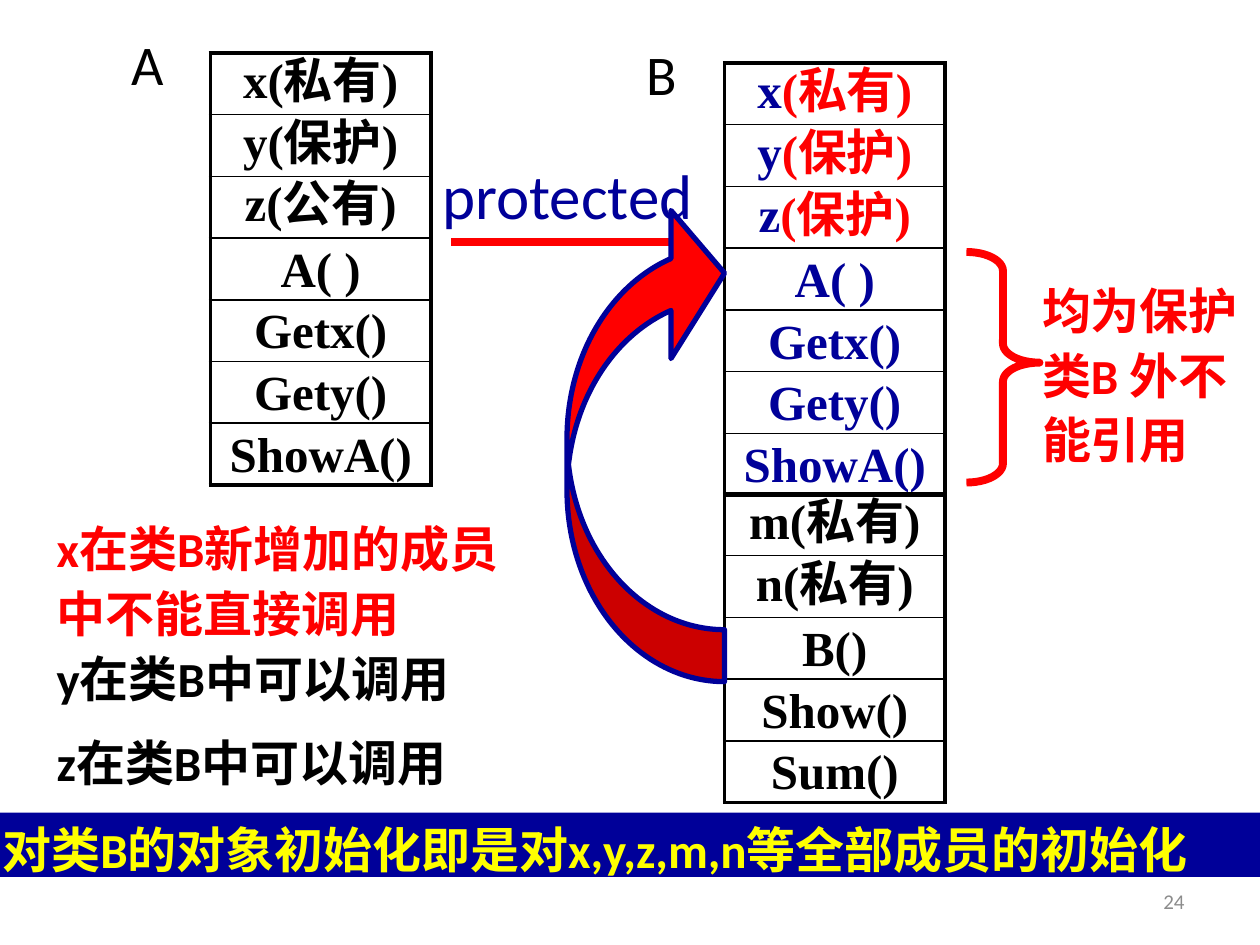
"""Build a slide on protected inheritance from class A to class B."""
from lxml import etree
from pptx import Presentation
from pptx import util as u
from pptx.dml.color import RGBColor
from pptx.enum import shapes, text
from pptx.oxml.ns import qn

HUES = {"ink": "000000", "red": "FF0000", "navy": "000099", "gold": "FFFF00", "gray": "8C8C8C"}
ROW = 0.49
LEFT, MID, RIGHT = text.PP_ALIGN.LEFT, text.PP_ALIGN.CENTER, text.PP_ALIGN.RIGHT


def hue(name):
    """Return the named colour."""
    return RGBColor.from_string(HUES[name])


def box(*spot):
    """Return a place given in inches as lengths."""
    return [u.Inches(n) for n in spot]


def style(font, size, color, bold, face="Calibri"):
    """Set the look of a font."""
    font.name, font.size, font.bold = face, u.Pt(size), bold
    font.color.rgb = hue(color)


def fill_text(shape, words, size, color, bold=True, align=LEFT, space=1.1):
    """Put one styled paragraph into a shape."""
    frame = shape.text_frame
    frame.text = words
    frame.word_wrap = True
    frame.vertical_anchor = text.MSO_ANCHOR.TOP
    frame.auto_size = text.MSO_AUTO_SIZE.SHAPE_TO_FIT_TEXT
    frame.margin_left = frame.margin_right = u.Inches(0.02)
    frame.margin_top = frame.margin_bottom = u.Inches(0.01)
    para = frame.paragraphs[0]
    para.alignment, para.line_spacing = align, space
    style(para.runs[0].font, size, color, bold)


def add_text(slide, spot, *args, **opts):
    """Add a text box."""
    label = slide.shapes.add_textbox(*box(*spot))
    fill_text(label, *args, **opts)
    return label


def add_form(slide, kind, spot, fill=None, line=None, width=0, adjust=()):
    """Add a preset shape with its fill and outline."""
    form = slide.shapes.add_shape(kind, *box(*spot))
    form.shadow.inherit = False
    for index, value in enumerate(adjust):
        form.adjustments[index] = value
    if fill:
        form.fill.solid()
        form.fill.fore_color.rgb = hue(fill)
    else:
        form.fill.background()
    if line:
        form.line.color.rgb = hue(line)
        form.line.width = u.Pt(width)
    else:
        form.line.fill.background()
    return form


def add_edge(props, tag, width):
    """Add one black border to a cell."""
    edge = etree.SubElement(props, qn(f"a:{tag}"), w=str(u.Pt(width)))
    paint = etree.SubElement(edge, qn("a:solidFill"))
    etree.SubElement(paint, qn("a:srgbClr"), val=HUES["ink"])


def set_cell(cell, parts, first, last):
    """Fill a cell with coloured parts, a fixed line height and borders."""
    cell.margin_left = cell.margin_right = u.Inches(0.02)
    cell.margin_top = cell.margin_bottom = u.Inches(0.01)
    cell.vertical_anchor = text.MSO_ANCHOR.MIDDLE
    para = cell.text_frame.paragraphs[0]
    para.alignment, para.line_spacing = MID, u.Pt(33)
    for words, color in parts:
        run = para.add_run()
        run.text = words
        style(run.font, 28, color, True, "Times New Roman")
    props = cell._tc.get_or_add_tcPr()
    widths = {"lnL": 2.25, "lnR": 2.25, "lnT": 2.25 if first else 1, "lnB": 2.25 if last else 1}
    for tag, width in widths.items():
        add_edge(props, tag, width)
    cell.fill.background()


def add_list(slide, left, top, rows):
    """Add a one-column table of class members."""
    count = len(rows)
    table = slide.shapes.add_table(count, 1, *box(left, top, 1.75, ROW * count)).table
    table.first_row = table.horz_banding = False
    for index, parts in enumerate(rows):
        set_cell(table.cell(index, 0), parts, index == 0, index == count - 1)


def add_arrow(slide, start, end):
    """Add a thick red arrow."""
    line = slide.shapes.add_connector(shapes.MSO_CONNECTOR.STRAIGHT, *box(*start, *end))
    line.line.color.rgb = hue("red")
    line.line.width = u.Pt(4.5)
    etree.SubElement(line.line._get_or_add_ln(), qn("a:tailEnd"), type="triangle")
    etree.SubElement(line._element.spPr, qn("a:effectLst"))


def main():
    """Build and save the slide."""
    deck = Presentation()
    deck.slide_width, deck.slide_height = box(10, 7.5)
    slide = deck.slides.add_slide(deck.slide_layouts[6])
    kinds = shapes.MSO_SHAPE

    page = add_text(slide, (7.17, 6.95, 2.33, 0.4), "24", 12, "gray", False, RIGHT, 1)
    page.text_frame.auto_size = text.MSO_AUTO_SIZE.NONE
    page.text_frame.vertical_anchor = text.MSO_ANCHOR.MIDDLE
    page.text_frame.margin_right = u.Inches(0.1)

    calls = ["A( )", "Getx()", "Gety()", "ShowA()"]
    base = ["x(私有)", "y(保护)", "z(公有)"] + calls
    heirs = [("x", "(私有)"), ("y", "(保护)"), ("z", "(保护)")]
    added = ["m(私有)", "n(私有)", "B()", "Show()", "Sum()"]
    add_list(slide, 1.67, 0.42, [[(name, "ink")] for name in base])
    add_list(slide, 5.75, 0.5, [[(name, "navy"), (mode, "red")] for name, mode in heirs]
             + [[(name, "navy")] for name in calls])
    add_list(slide, 5.75, 3.92, [[(name, "ink")] for name in added])

    add_text(slide, (0.92, 0.17, 0.5, 0.62), "A", 32, "ink", False, MID)
    add_text(slide, (5, 0.25, 0.5, 0.62), "B", 32, "ink", False, MID)
    add_arrow(slide, (3.58, 1.92), (5.5, 1.92))
    add_text(slide, (3.42, 1.17, 2.17, 0.69), "protected", 36, "navy", False, MID)

    add_text(slide, (0.43, 4.06, 3.88, 1.05), "x在类B新增加的成员中不能直接调用", 28, "red")
    for name, top in (("y", 5.09), ("z", 5.76)):
        add_text(slide, (0.43, top, 5, 0.51), f"{name}在类B中可以调用", 28, "ink")
    band = add_form(slide, kinds.RECTANGLE, (0, 6.45, 10, 0.51), "navy")
    fill_text(band, "对类B的对象初始化即是对x,y,z,m,n等全部成员的初始化", 28, "gold")

    add_form(slide, kinds.RIGHT_BRACE, (7.67, 2, 0.58, 1.83), None, "red", 4.5, (0.26, 0.48))
    add_text(slide, (8.25, 2.17, 1.75, 1.57), "均为保护类B 外不能引用", 28, "red")
    curve = add_form(slide, kinds.CURVED_LEFT_ARROW, (4.5, 1.58, 1.25, 3.83),
                     "red", "navy", 3, (0.33, 0.94, 0.34))
    curve.rotation = 180
    deck.save("out.pptx")


if __name__ == "__main__":
    main()
